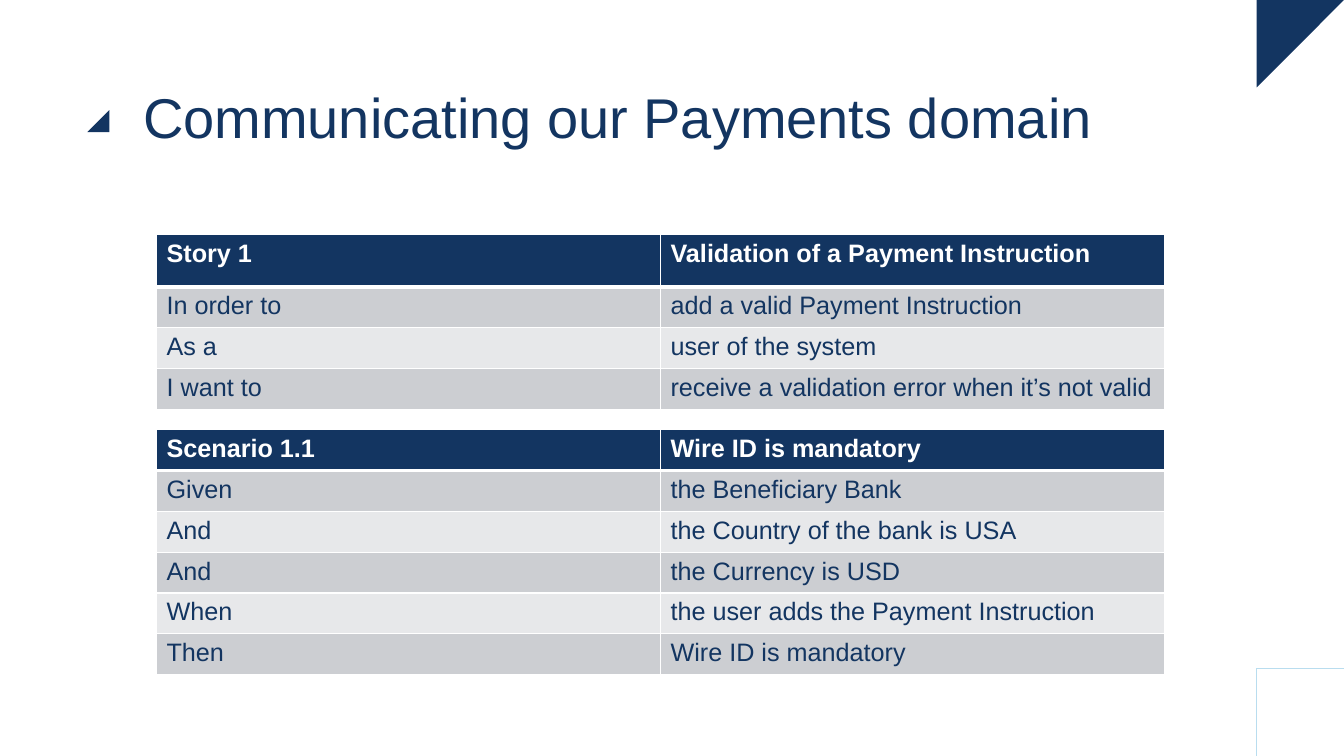
from pptx import Presentation
from pptx.dml.color import RGBColor
from pptx.enum.shapes import MSO_SHAPE as Shape
from pptx.oxml.ns import qn
from pptx.util import Pt
from lxml.etree import SubElement

# Content
TITLE = "Communicating our Payments domain"
STORY = [
    ("Story 1", "Validation of a Payment Instruction"),
    ("In order to", "add a valid Payment Instruction"),
    ("As a", "user of the system"),
    ("I want to", "receive a validation error when it’s not valid"),
]
SCENARIO = [
    ("Scenario 1.1", "Wire ID is mandatory"),
    ("Given", "the Beneficiary Bank"),
    ("And", "the Country of the bank is USA"),
    ("And", "the Currency is USD"),
    ("When", "the user adds the Payment Instruction"),
    ("Then", "Wire ID is mandatory"),
]

# Style and layout, in points
NAVY, WHITE, PALE_BLUE = "133561", "FFFFFF", "B9DDEF"
BANDS = ["E7E8EA", "CCCED2"]
FONT = "Arial"
SLIDE_W, SLIDE_H = 960, 540
CORNER = 62.4
TABLE_X, COL_W, ROW_H = 111.8, 360, 29.2
# Rows, top, header height
TABLES = [(STORY, 167.4, 37.6), (SCENARIO, 306.8, ROW_H)]


def rgb(color):
    return RGBColor.from_string(color)


def style(p, size, color, bold=False):
    f = p.font
    f.name, f.size, f.bold = FONT, Pt(size), bold
    f.color.rgb = rgb(color)


def add_mark(kind, x, y, size, fill, rotation=0, line=None):
    sp = s.shapes.add_shape(kind, Pt(x), Pt(y), Pt(size), Pt(size))
    sp.shadow.inherit = False
    sp.rotation = rotation
    sp.fill.solid()
    sp.fill.fore_color.rgb = rgb(fill)
    if line:
        sp.line.color.rgb = rgb(line)
        sp.line.width = Pt(0.5)
    else:
        sp.line.fill.background()


def set_borders(cell, top, bottom):
    tc_pr = cell._tc.get_or_add_tcPr()
    for side, width in (("L", 1), ("R", 1), ("T", top), ("B", bottom)):
        ln = SubElement(tc_pr, qn(f"a:ln{side}"), w=str(Pt(width)))
        fill = SubElement(ln, qn("a:solidFill"))
        SubElement(fill, qn("a:srgbClr"), val=WHITE)


def add_grid(rows, top, header_h):
    height = header_h + ROW_H * (len(rows) - 1)
    table = s.shapes.add_table(len(rows), 2, Pt(TABLE_X), Pt(top),
                               Pt(2 * COL_W), Pt(height)).table
    for col in table.columns:
        col.width = Pt(COL_W)
    for i, texts in enumerate(rows):
        header = i == 0
        table.rows[i].height = Pt(header_h if header else ROW_H)
        for j, text in enumerate(texts):
            cell = table.cell(i, j)
            cell.text = text
            style(cell.text_frame.paragraphs[0], 18,
                  WHITE if header else NAVY, header)
            set_borders(cell, 3 if i == 1 else 1, 3 if header else 1)
            cell.fill.solid()
            cell.fill.fore_color.rgb = rgb(NAVY if header else BANDS[i % 2])


prs = Presentation()
prs.slide_width, prs.slide_height = Pt(SLIDE_W), Pt(SLIDE_H)
s = prs.slides.add_slide(prs.slide_layouts[6])

# Title bullet and corner marks
add_mark(Shape.RIGHT_TRIANGLE, 62.4, 78.6, 15.8, NAVY, rotation=270)
add_mark(Shape.RIGHT_TRIANGLE, SLIDE_W - CORNER, 0, CORNER, NAVY, rotation=90)
add_mark(Shape.RECTANGLE, SLIDE_W - CORNER, SLIDE_H - CORNER, CORNER, WHITE,
         line=PALE_BLUE)

# Title
tf = s.shapes.add_textbox(Pt(102.2), Pt(56.9), Pt(777), Pt(102)).text_frame
tf.word_wrap = True
tf.margin_left = tf.margin_top = tf.margin_right = tf.margin_bottom = 0
p = tf.paragraphs[0]
p.text = TITLE
p.line_spacing = 1.05
style(p, 40, NAVY)

# Story and scenario tables
for rows, top, header_h in TABLES:
    add_grid(rows, top, header_h)

prs.save("out.pptx")
